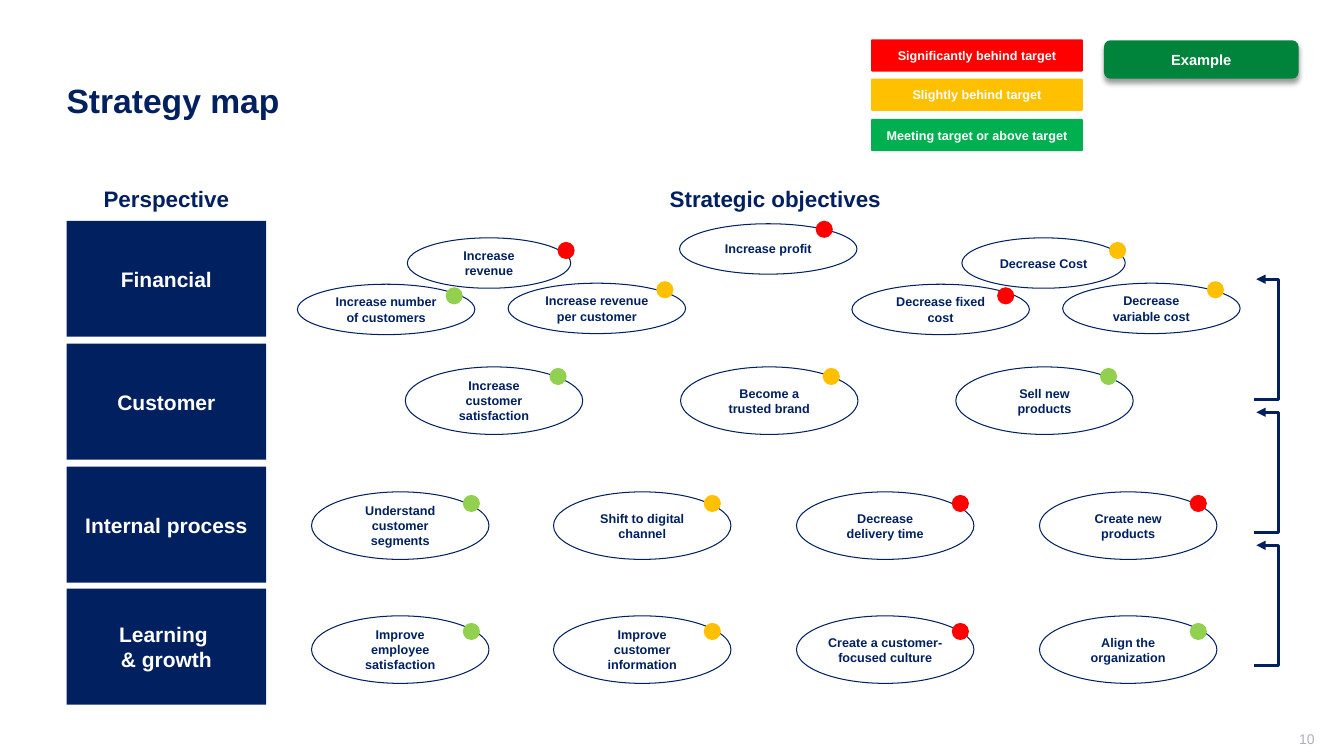
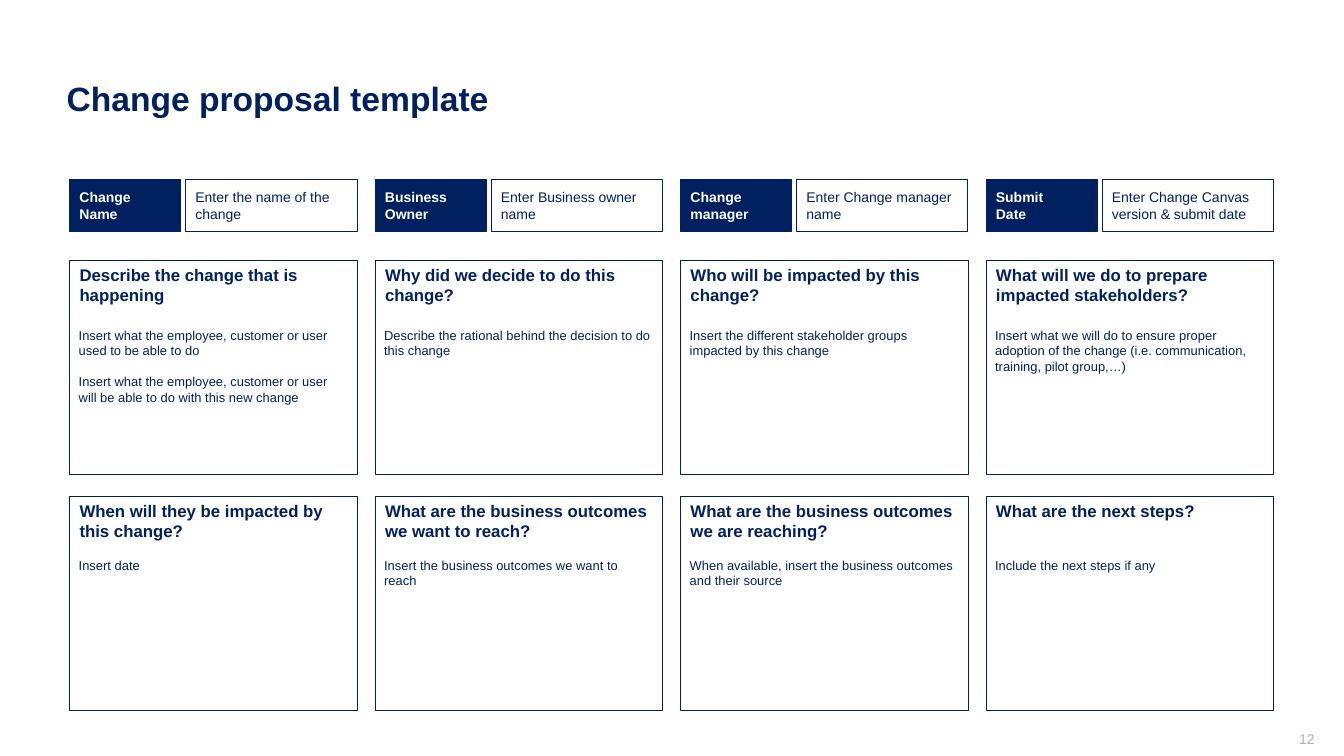
import lxml.etree
import pptx
import pptx.dml.color
import pptx.enum.shapes
import pptx.enum.text
import pptx.oxml.ns
import pptx.util

PX = 9144  # one px is a hundredth of an inch
NAVY, WHITE, GREY = "002060", "FFFFFF", "ADAFBB"
RED, AMBER, LIME, GREEN, DARK = "FF0000", "FFC000", "92D050", "00B050", "00843C"

hue = pptx.dml.color.RGBColor.from_string
qn = pptx.oxml.ns.qn
add = lxml.etree.SubElement
Pt = pptx.util.Pt
KIND = pptx.enum.shapes.MSO_SHAPE
ALIGN = pptx.enum.text.PP_ALIGN
ANCHOR = pptx.enum.text.MSO_ANCHOR

FRAME = {
    "word_wrap": True,
    "auto_size": pptx.enum.text.MSO_AUTO_SIZE.NONE,
    "vertical_anchor": ANCHOR.MIDDLE,
    "margin_left": 10 * PX,
    "margin_right": 10 * PX,
    "margin_top": 5 * PX,
    "margin_bottom": 5 * PX,
}
FLUSH = {"margin_left": 0, "margin_right": 0}
TOP = {"vertical_anchor": ANCHOR.TOP}


def box(slide, kind, place, fill=None, line=None, width=0.5):
    """Add a preset shape, or a text box when kind is None."""
    spot = [n * PX for n in place]
    if kind is None:
        return slide.shapes.add_textbox(*spot)
    shape = slide.shapes.add_shape(kind, *spot)
    shape.shadow.inherit = False
    shape.fill.solid()
    shape.fill.fore_color.rgb = hue(fill)
    if line:
        shape.line.color.rgb = hue(line)
        shape.line.width = Pt(width)
    else:
        shape.line.fill.background()
    return shape


def write(shape, text, size, tone=NAVY, bold=True, align=ALIGN.LEFT, frame={}, para={}):
    """Fill a shape with text, one paragraph for each line."""
    body = shape.text_frame
    body.text = text
    for name, value in (FRAME | frame).items():
        setattr(body, name, value)
    for item in body.paragraphs:
        for name, value in ({"alignment": align} | para).items():
            setattr(item, name, value)
        font = item.font
        for name, value in {"name": "Arial", "size": Pt(size), "bold": bold}.items():
            setattr(font, name, value)
        font.color.rgb = hue(tone)


deck = pptx.Presentation()
deck.slide_width, deck.slide_height = pptx.util.Inches(13.33), pptx.util.Inches(7.5)

# Shared frame: title and page number
pages = []
for title, page, space in [("Strategy map", "10", 1.0), ("Change proposal template", "12", 0.9)]:
    slide = deck.slides.add_slide(deck.slide_layouts[5])
    head = slide.shapes.title
    for name, value in {"left": 56, "top": 40, "width": 1211, "height": 119}.items():
        setattr(head, name, value * PX)
    write(head, title, 24, para={"line_spacing": space})
    foot = box(slide, None, (1004, 725, 300, 21))
    write(foot, page, 10, GREY, False, ALIGN.RIGHT, {"margin_right": 0, "margin_top": 0})
    pages.append(slide)
plan, form = pages

# Strategy map: headings and perspectives
write(box(plan, None, (66, 180, 198, 34)), "Perspective", 16, align=ALIGN.CENTER, frame=FLUSH)
write(box(plan, None, (271, 180, 996, 34)), "Strategic objectives", 16, align=ALIGN.CENTER)
views = ["Financial", "Customer", "Internal process", "Learning \n& growth"]
for top, view in zip((219, 341, 463, 584), views):
    write(box(plan, KIND.RECTANGLE, (66, top, 198, 115), NAVY), view, 15, WHITE, align=ALIGN.CENTER)

# Links from each perspective up to the one above
for step in range(3):
    low = 660 - 132 * step
    ends = [n * PX for n in (1244, low, 1246, low - 119)]
    link = plan.shapes.add_connector(pptx.enum.shapes.MSO_CONNECTOR.ELBOW, *ends)
    link.line.color.rgb = hue(NAVY)
    link.line.width = Pt(2.25)
    props = link._element.spPr
    bend = props.find(qn("a:prstGeom")).find(qn("a:avLst"))
    add(bend, qn("a:gd"), name="adj1", fmla="val 1200000")
    add(props.find(qn("a:ln")), qn("a:tailEnd"), type="triangle")
    add(props, qn("a:effectLst"))

# Objectives: top, width, height, dot top, then (left, text, dot left, status)
bands = [
    (236, 162, 50, 240, [
        (404, "Increase revenue", 553, RED),
        (954, "Decrease Cost", 1100, AMBER)]),
    (222, 176, 50, 219, [(674, "Increase profit", 809, RED)]),
    (282, 176, 50, 285, [
        (295, "Increase number of customers", 442, LIME),
        (845, "Decrease fixed cost", 989, RED)]),
    (281, 176, 50, 279, [
        (504, "Increase revenue per customer", 651, AMBER),
        (1054, "Decrease variable cost", 1197, AMBER)]),
    (364, 176, 67, 365, [
        (402, "Increase customer satisfaction", 545, LIME),
        (675, "Become a trusted brand", 816, AMBER),
        (948, "Sell new products", 1091, LIME)]),
    (488, 176, 67, 491, [
        (309, "Understand customer segments", 459, LIME),
        (549, "Shift to digital channel", 698, AMBER),
        (790, "Decrease delivery time", 944, RED),
        (1031, "Create new products", 1180, RED)]),
    (611, 176, 67, 618, [
        (309, "Improve\nemployee satisfaction", 459, LIME),
        (549, "Improve customer information", 698, AMBER),
        (790, "Create a customer-focused culture", 944, RED),
        (1031, "Align the organization", 1180, LIME)]),
]
for top, wide, high, rise, goals in bands:
    for left, text, side, tone in goals:
        goal = box(plan, KIND.OVAL, (left, top, wide, high), WHITE, NAVY, 0.75)
        inset = FLUSH if "focused" in text else {}
        write(goal, text, 9, align=ALIGN.CENTER, frame=inset)
        box(plan, KIND.OVAL, (side, rise, 17, 17), tone)

# Legend and example tag
legend = [
    (39, "Significantly behind target", RED),
    (78, "Slightly behind target", AMBER),
    (118, "Meeting target or above target", GREEN),
]
for top, text, tone in legend:
    key = box(plan, KIND.ROUNDED_RECTANGLE, (864, top, 210, 32), tone)
    key.adjustments[0] = 0.04
    gaps = {"space_before": Pt(3), "space_after": Pt(3)}
    write(key, text, 9, WHITE, align=ALIGN.CENTER, para=gaps)

tag = box(plan, KIND.ROUNDED_RECTANGLE, (1095, 40, 193, 38), DARK)
write(tag, "Example", 10.5, WHITE, align=ALIGN.CENTER)
glow = add(tag._element.spPr.find(qn("a:effectLst")), qn("a:outerShdw"),
           blurRad=str(Pt(4)), dist=str(Pt(3)), dir="5400000", rotWithShape="0")
shade = add(glow, qn("a:srgbClr"), val="000000")
add(shade, qn("a:alpha"), val="40000")

# Change proposal: name fields, then two rows of cards
lefts = [69 + 303 * n for n in range(4)]
fields = [
    ("Change\nName", "Enter the name of the change"),
    ("Business Owner", "Enter Business owner name"),
    ("Change manager", "Enter Change manager name"),
    ("Submit\nDate", "Enter Change Canvas version & submit date"),
]
for left, (label, hint) in zip(lefts, fields):
    write(box(form, KIND.RECTANGLE, (left, 178, 110, 52), NAVY, NAVY), label, 10, WHITE)
    write(box(form, KIND.RECTANGLE, (left + 115, 178, 170, 52), WHITE, NAVY), hint, 10, bold=False)

rows = [
    (258, 320, [
        ("Describe the change that is happening",
         "Insert what the employee, customer or user used to be able to do\n"
         "Insert what the employee, customer or user will be able to do with this new change"),
        ("Why did we decide to do this change?",
         "Describe the rational behind the decision to do this change"),
        ("Who will be impacted by this change?",
         "Insert the different stakeholder groups impacted by this change"),
        ("What will we do to prepare impacted stakeholders?",
         "Insert what we will do to ensure proper adoption of the change "
         "(i.e. communication, training, pilot group,…)")]),
    (492, 548, [
        ("When will they be impacted by this change?", "Insert date"),
        ("What are the business outcomes we want to reach?",
         "Insert the business outcomes we want to reach"),
        ("What are the business outcomes we are reaching?",
         "When available, insert the business outcomes and their source"),
        ("What are the next steps?", "Include the next steps if any")]),
]
slim = TOP | {"margin_left": 9 * PX, "margin_right": 9 * PX}
for top, start, cards in rows:
    for left, (ask, hint) in zip(lefts, cards):
        write(box(form, KIND.RECTANGLE, (left, top, 285, 213), WHITE, NAVY), ask, 12, frame=TOP)
        note = box(form, None, (left, start, 285, 87))
        write(note, hint, 9.2, bold=False, frame=slim)
        for item in note.text_frame.paragraphs[1:]:
            item.space_before = Pt(11)

deck.save("out.pptx")
